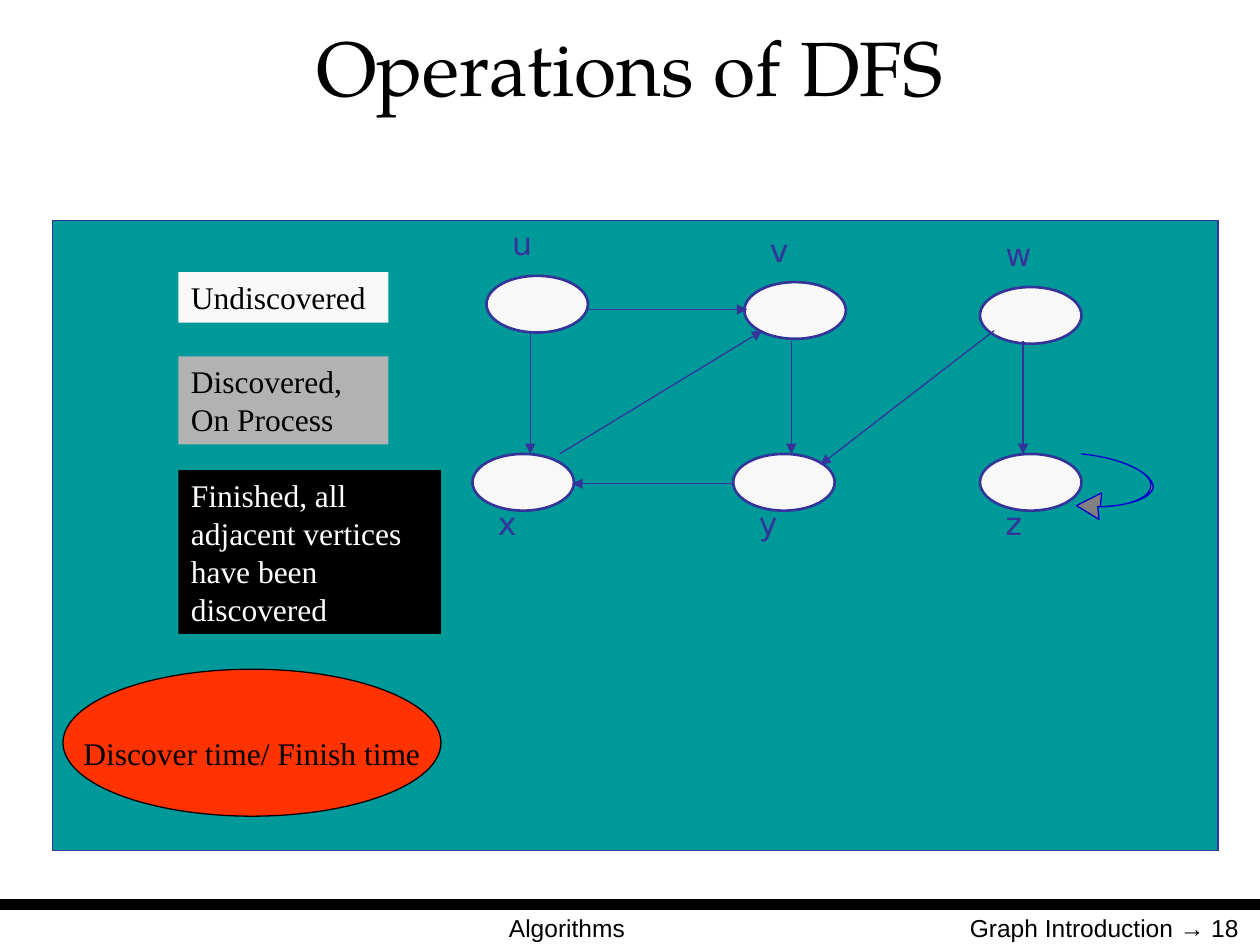
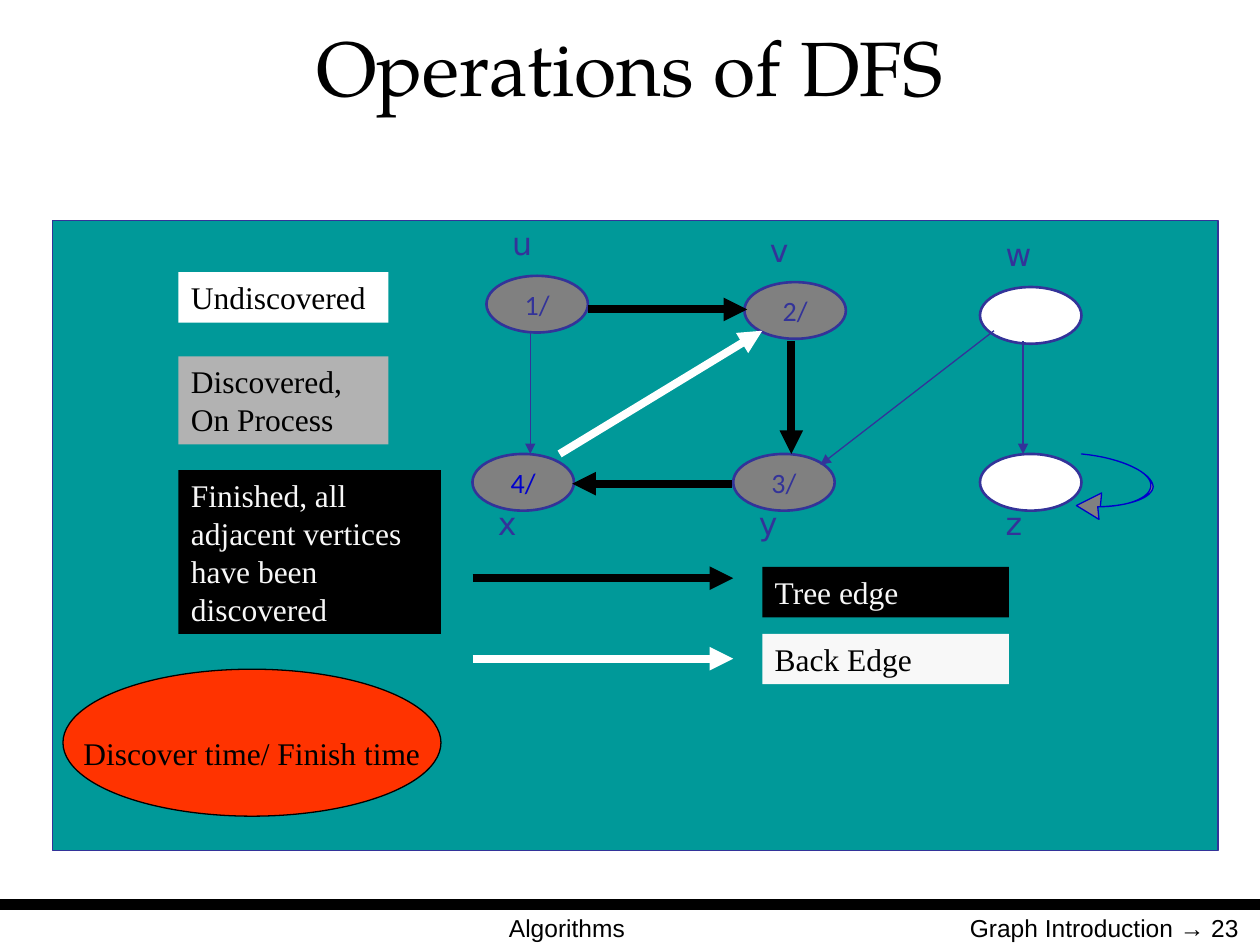
from lxml import etree
from pptx import Presentation
from pptx import util as u
from pptx.dml import color
from pptx.enum import shapes, text
from pptx.oxml import ns

Pt = u.Pt
RGBColor = color.RGBColor

BLACK = RGBColor(0x00, 0x00, 0x00)
WHITE = RGBColor(0xFF, 0xFF, 0xFF)
PALE = RGBColor(0xF8, 0xF8, 0xF8)
SILVER = RGBColor(0xB2, 0xB2, 0xB2)
GRAY = RGBColor(0x80, 0x80, 0x80)
TEAL = RGBColor(0x00, 0x99, 0x99)
INDIGO = RGBColor(0x33, 0x33, 0x99)
BLUE = RGBColor(0x00, 0x00, 0xCC)
RED = RGBColor(0xFF, 0x33, 0x00)

TITLE_FONT = {"name": "TeX Gyre Pagella", "size": Pt(44)}
FOOTER_FONT = {"name": "Arial", "size": Pt(14)}
LEGEND_FONT = {"name": "Times New Roman", "size": Pt(18)}
VERTEX_FONT = {"name": "DejaVu Sans", "size": Pt(18)}
TIME_FONT = {"name": "Calibri", "size": Pt(16)}

LEFT, CENTER, RIGHT = text.PP_ALIGN.LEFT, text.PP_ALIGN.CENTER, text.PP_ALIGN.RIGHT
MIDDLE = text.MSO_ANCHOR.MIDDLE
RECTANGLE, OVAL = shapes.MSO_SHAPE.RECTANGLE, shapes.MSO_SHAPE.OVAL

PANEL = (30, 126, 666, 360)

# Positions below are relative to the panel.
NODE_WIDTH, NODE_HEIGHT = 58, 32.4
NODES = {
    "u": (248, 31.6), "v": (395.4, 35.2), "w": (530, 38),
    "x": (240, 133.4), "y": (389, 133.4), "z": (530, 133.4),
}
TOP_ROW = "uvw"
EDGES = {
    "uv": ((306, 50.8), (397, 50.8)),
    "yx": ((388.4, 150.4), (297, 150.4)),
    "vy": ((422.2, 69), (422.2, 133.4)),
    "ux": ((273, 63), (273, 133.4)),
    "wz": ((554.6, 69), (554.6, 133.4)),
    "wy": ((538, 63), (438.8, 139.6)),
    "xv": ((289.8, 133.4), (405.6, 63)),
}

# Each step holds one end point, or two control points and an end point,
# measured from the top right corner of the looped node.
SELF_LOOP = [
    [(23, 2.2), (41, 10.8), (39.6, 18.7)],
    [(38.8, 25.2), (26.6, 30.2), (9.3, 30.2)],
    [(10, 37.4)], [(-2.9, 29.5)], [(11.5, 22.3)], [(10.8, 30.2)],
    [(28, 29.5), (40.3, 25.2), (41, 18.7)],
    [(40.3, 10.8), (23, 2.2), (0, 0)],
]


def set_formats(target, formats):
    for name, value in formats.items():
        setattr(target, name, value)


def write(shape, words, font, font_color, align=LEFT, **frame_formats):
    frame = shape.text_frame
    set_formats(frame, {
        "word_wrap": True, "vertical_anchor": text.MSO_ANCHOR.TOP,
        "margin_left": Pt(7.2), "margin_right": Pt(7.2),
        "margin_top": Pt(3.6), "margin_bottom": Pt(3.6), **frame_formats,
    })
    paragraph = frame.paragraphs[0]
    paragraph.alignment = align
    run = paragraph.add_run()
    run.text = words
    set_formats(run.font, font)
    run.font.color.rgb = font_color


def add_text(slide, box, words, font, font_color, align=LEFT, **frame_formats):
    shape = slide.shapes.add_textbox(*map(Pt, box))
    write(shape, words, font, font_color, align, **frame_formats)


def paint(shape, fill, line=None, line_width=0.75):
    shape.shadow.inherit = False
    shape.fill.solid()
    shape.fill.fore_color.rgb = fill
    if line is None:
        shape.line.fill.background()
    else:
        shape.line.color.rgb = line
        shape.line.width = Pt(line_width)


def add_block(slide, kind, box, fill, line=None, line_width=0.75):
    shape = slide.shapes.add_shape(kind, *map(Pt, box))
    paint(shape, fill, line, line_width)
    return shape


def add_line(slide, start, end, line_color, width, arrow=False):
    connector = slide.shapes.add_connector(
        shapes.MSO_CONNECTOR.STRAIGHT, *map(Pt, (*start, *end)))
    connector.line.color.rgb = line_color
    connector.line.width = Pt(width)
    if arrow:
        etree.SubElement(connector.line._get_or_add_ln(), ns.qn("a:tailEnd"), type="triangle")
    etree.SubElement(connector._element.spPr, ns.qn("a:effectLst"))


def place(panel, x, y):
    """Turn a position inside the panel into one on the slide."""
    return panel[0] + x, panel[1] + y


def curve_points(start, steps, pieces=16):
    """Flatten straight and cubic steps into a list of points."""
    points = [start]
    for step in steps:
        if len(step) == 1:
            points.append(step[0])
            continue
        controls = [points[-1], *step]
        for piece in range(1, pieces + 1):
            t = piece / pieces
            weights = ((1 - t) ** 3, 3 * t * (1 - t) ** 2, 3 * t * t * (1 - t), t ** 3)
            points.append(tuple(
                sum(weight * control[axis] for weight, control in zip(weights, controls))
                for axis in (0, 1)))
    return points


def draw_frame(slide, number):
    """Title, footer rule and footer texts."""
    add_line(slide, (0, 517), (720, 517), BLACK, 6)
    add_text(slide, (210, 518.4, 228, 37.4), "Algorithms", FOOTER_FONT, BLACK, CENTER)
    add_text(slide, (517, 518.4, 198, 37.4), f"Graph Introduction → {number}",
             FOOTER_FONT, BLACK, RIGHT)
    add_text(slide, (3.6, 5, 712.8, 64.8), "Operations of DFS", TITLE_FONT, BLACK,
             CENTER, vertical_anchor=MIDDLE)


def draw_state_legend(slide, panel, undiscovered_fill, finished_color):
    states = [
        ("Undiscovered", 29.6, 120, 28.8, undiscovered_fill, BLACK),
        ("Discovered, On Process", 77.6, 120, 50.4, SILVER, BLACK),
        ("Finished, all adjacent vertices have been discovered",
         142.6, 150, 93.6, BLACK, finished_color),
    ]
    for words, top, width, height, fill, font_color in states:
        block = add_block(slide, RECTANGLE, (*place(panel, 72, top), width, height), fill)
        write(block, words, LEGEND_FONT, font_color)
    oval = add_block(slide, OVAL, (*place(panel, 6, 256.4), 216, 84), RED, BLACK)
    write(oval, "Discover time/ Finish time", LEGEND_FONT, BLACK, CENTER,
          word_wrap=False, vertical_anchor=MIDDLE, margin_top=Pt(14.8))


def draw_self_loop(slide, panel, node):
    left, top = place(panel, *NODES[node])
    points = [(Pt(left + NODE_WIDTH + x), Pt(top + y))
              for x, y in curve_points((0, 0), SELF_LOOP)]
    builder = slide.shapes.build_freeform(*points[0])
    builder.add_line_segments(points[1:], close=True)
    paint(builder.convert_to_shape(), GRAY, BLUE)


def draw_graph(slide, panel, undiscovered_fill, times, edge_colors):
    """times maps discovered vertices to (label, colour); edge_colors marks thick edges."""
    for name, position in NODES.items():
        left, top = place(panel, *position)
        fill = GRAY if name in times else undiscovered_fill
        node = add_block(slide, OVAL, (left, top, NODE_WIDTH, NODE_HEIGHT), fill, INDIGO, 1.5)
        if name in times:
            label, label_color = times[name]
            write(node, label, TIME_FONT, label_color, CENTER,
                  word_wrap=False, vertical_anchor=MIDDLE)
        label_top = top + (-33 if name in TOP_ROW else 25.2)
        add_text(slide, (left + 1.6, label_top, 57.6, 28.8), name, VERTEX_FONT, INDIGO,
                 margin_left=Pt(13))
    for edge, (start, end) in EDGES.items():
        add_line(slide, place(panel, *start), place(panel, *end),
                 edge_colors.get(edge, INDIGO), 4.5 if edge in edge_colors else 0.75, arrow=True)
    draw_self_loop(slide, panel, "z")


def draw_edge_legend(slide, panel):
    entries = [
        ("Tree edge", 204.4, 198, BLACK, BLACK, PALE),
        ("Back Edge", 250.4, 236.2, WHITE, PALE, BLACK),
    ]
    for words, arrow_y, top, arrow_color, fill, font_color in entries:
        add_line(slide, place(panel, 240, arrow_y), place(panel, 389, arrow_y),
                 arrow_color, 4.5, arrow=True)
        block = add_block(slide, RECTANGLE, (*place(panel, 405.6, top), 141, 28.8), fill)
        write(block, words, LEGEND_FONT, font_color)


def add_dfs_slide(presentation, number, undiscovered_fill, finished_color,
                  times, edge_colors):
    slide = presentation.slides.add_slide(presentation.slide_layouts[6])
    add_block(slide, RECTANGLE, PANEL, TEAL, INDIGO)
    draw_frame(slide, number)
    draw_graph(slide, PANEL, undiscovered_fill, times, edge_colors)
    draw_state_legend(slide, PANEL, undiscovered_fill, finished_color)
    if edge_colors:
        draw_edge_legend(slide, PANEL)


def main():
    presentation = Presentation()
    presentation.slide_width, presentation.slide_height = Pt(720), Pt(540)
    add_dfs_slide(presentation, 18, PALE, WHITE, times={}, edge_colors={})
    add_dfs_slide(
        presentation, 23, WHITE, PALE,
        times={"u": ("1/", INDIGO), "v": ("2/", INDIGO),
               "y": ("3/", INDIGO), "x": ("4/", BLUE)},
        edge_colors={"uv": BLACK, "vy": BLACK, "yx": BLACK, "xv": WHITE})
    presentation.save("out.pptx")


if __name__ == "__main__":
    main()
